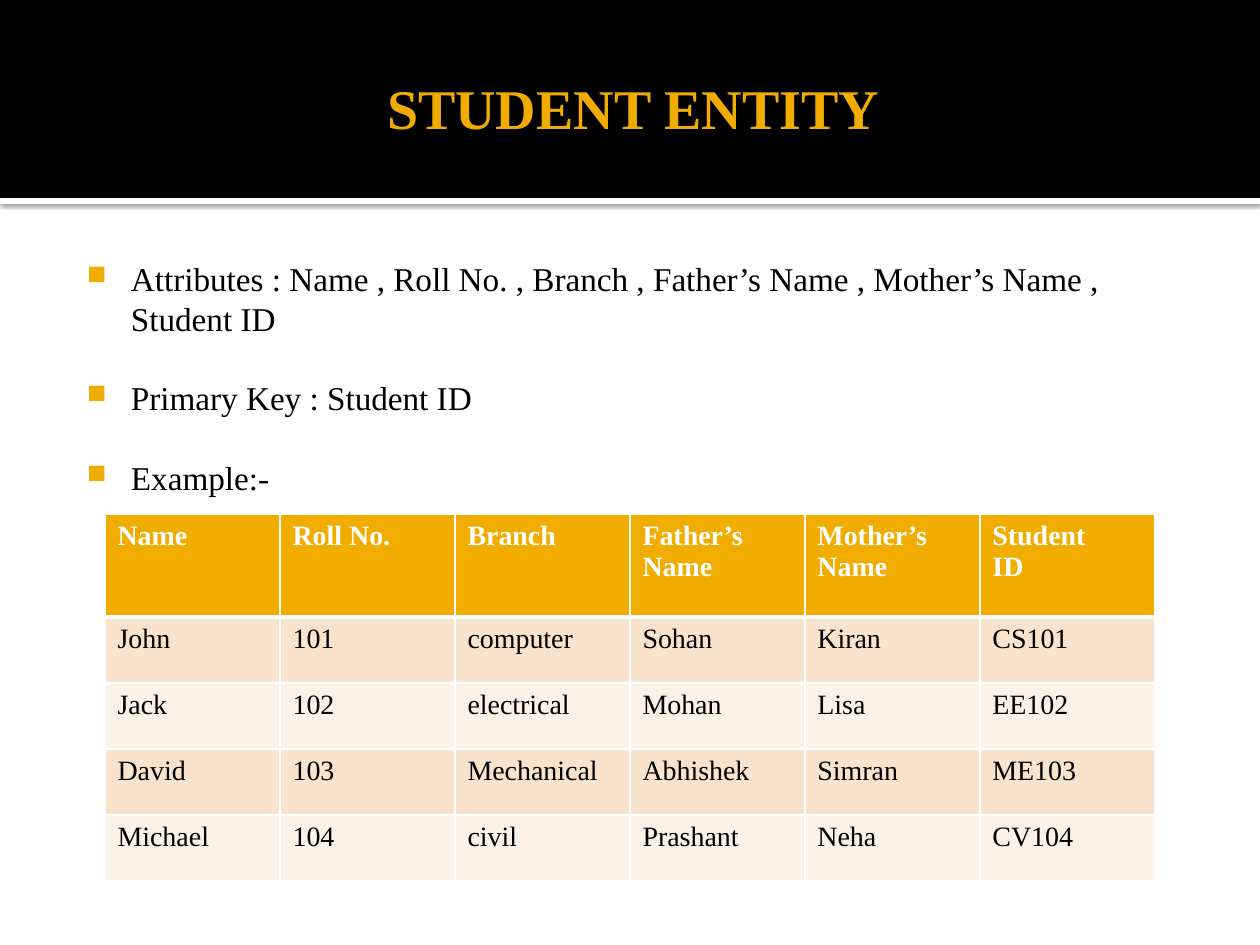
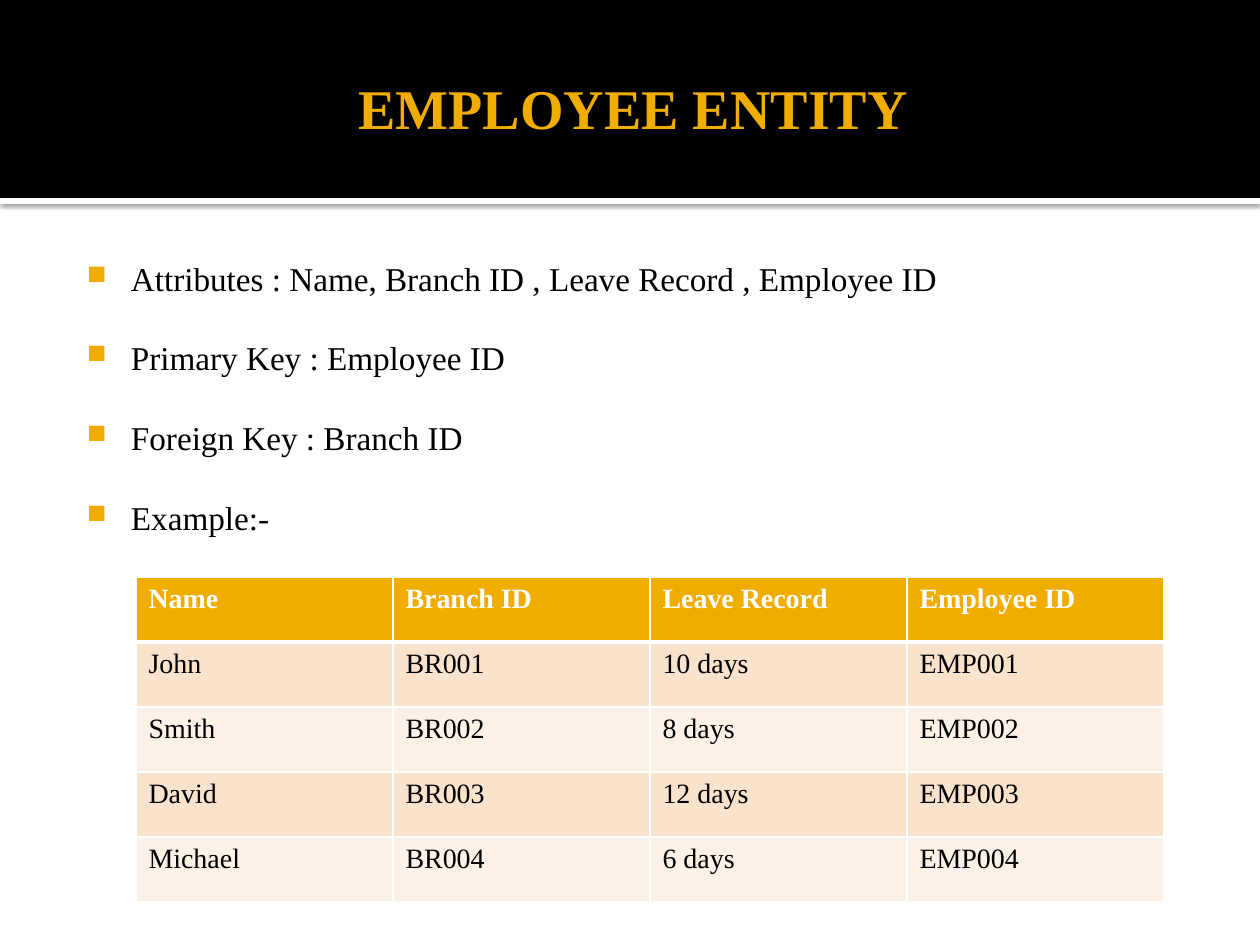
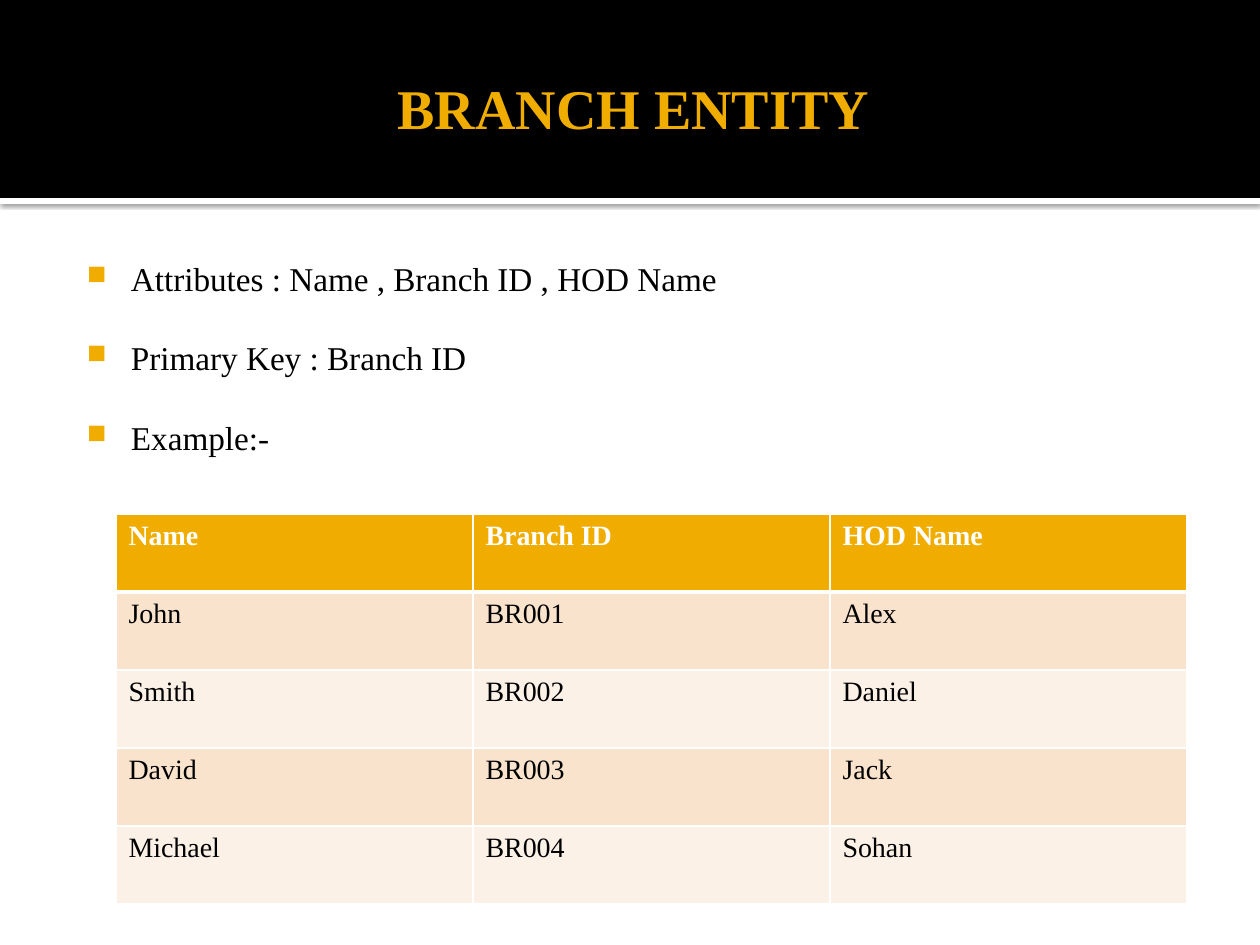
import pptx
import pptx.dml.color
import pptx.enum.shapes
import pptx.enum.text
import pptx.oxml.ns
import pptx.util
from lxml import etree

COLORS = {
    "band": "000000",
    "accent": "F0AD00",
    "text": "000000",
    "white": "FFFFFF",
    "row_dark": "F9E3CC",
    "row_light": "FCF1E7",
}
FONT = "Times New Roman"
EMU_PER_PX = 914400 / 126
SLIDE_W, SLIDE_H = 1260, 945
BODY_LINE = 22.75

SLIDES = [
    {
        "title": "STUDENT ENTITY",
        "bullets": [
            "Attributes : Name , Roll No. , Branch , Father’s Name , Mother’s Name , Student ID",
            "Primary Key : Student ID",
            "Example:-",
        ],
        "origin": (105, 514),
        "col_width": 175,
        "row_heights": [103] + [66] * 4,
        "rows": [
            ["Name", "Roll No.", "Branch", "Father’s Name", "Mother’s Name", "Student\nID"],
            ["John", "101", "computer", "Sohan", "Kiran", "CS101"],
            ["Jack", "102", "electrical", "Mohan", "Lisa", "EE102"],
            ["David", "103", "Mechanical", "Abhishek", "Simran", "ME103"],
            ["Michael", "104", "civil", "Prashant", "Neha", "CV104"],
        ],
    },
    {
        "title": "EMPLOYEE ENTITY",
        "bullets": [
            "Attributes : Name, Branch ID , Leave Record , Employee ID",
            "Primary Key : Employee ID",
            "Foreign Key : Branch ID",
            "Example:-",
        ],
        "origin": (136, 577),
        "col_width": 257,
        "row_heights": [65] * 5,
        "rows": [
            ["Name", "Branch ID", "Leave Record", "Employee ID"],
            ["John", "BR001", "10 days", "EMP001"],
            ["Smith", "BR002", "8 days", "EMP002"],
            ["David", "BR003", "12 days", "EMP003"],
            ["Michael", "BR004", "6 days", "EMP004"],
        ],
    },
    {
        "title": "BRANCH ENTITY",
        "bullets": [
            "Attributes : Name , Branch ID , HOD Name",
            "Primary Key : Branch ID",
            "Example:-",
        ],
        "origin": (116, 514),
        "col_width": 357,
        "row_heights": [78] * 5,
        "rows": [
            ["Name", "Branch ID", "HOD Name"],
            ["John", "BR001", "Alex"],
            ["Smith", "BR002", "Daniel"],
            ["David", "BR003", "Jack"],
            ["Michael", "BR004", "Sohan"],
        ],
    },
]


def px(n):
    return pptx.util.Emu(round(n * EMU_PER_PX))


def rgb(name):
    return pptx.dml.color.RGBColor.from_string(COLORS[name])


def add_xml(parent, tag, **attrs):
    return etree.SubElement(parent, pptx.oxml.ns.qn(tag), attrs)


def set_font(p, size, color, bold=False):
    p.font.name = FONT
    p.font.size = pptx.util.Pt(size)
    p.font.bold = bold
    p.font.color.rgb = rgb(color)


def add_rect(slide, x, y, w, h, color):
    sp = slide.shapes.add_shape(
        pptx.enum.shapes.MSO_SHAPE.RECTANGLE, px(x), px(y), px(w), px(h))
    sp.fill.solid()
    sp.fill.fore_color.rgb = rgb(color)
    sp.line.fill.background()
    sp.shadow.inherit = False
    return sp


def add_band(slide):
    rule = add_rect(slide, 0, 198, SLIDE_W, 6, "white")
    effects = rule._element.spPr.find(pptx.oxml.ns.qn("a:effectLst"))
    shadow = add_xml(effects, "a:outerShdw", blurRad="31750", dist="10160",
                     dir="5400000", algn="tl", rotWithShape="0")
    shade = add_xml(shadow, "a:srgbClr", val=COLORS["band"])
    add_xml(shade, "a:alpha", val="60000")
    add_rect(slide, 0, 0, SLIDE_W, 198, "band")


def add_textbox(slide, x, y, w, h, margins):
    tf = slide.shapes.add_textbox(px(x), px(y), px(w), px(h)).text_frame
    tf.word_wrap = True
    tf.margin_left, tf.margin_top, tf.margin_right, tf.margin_bottom = map(px, margins)
    return tf


def add_title(slide, text):
    tf = add_textbox(slide, 63, 21, 1134, 173, (13, 6, 6, 6))
    tf.vertical_anchor = pptx.enum.text.MSO_ANCHOR.MIDDLE
    p = tf.paragraphs[0]
    p.text = text
    p.alignment = pptx.enum.text.PP_ALIGN.CENTER
    set_font(p, 32, "accent", bold=True)


def add_bullets(slide, items):
    tf = add_textbox(slide, 63, 245, 1134, 637, (8, 13, 13, 6))
    tf.text = "\n".join(items)
    for p in tf.paragraphs:
        set_font(p, 19, "text")
        p.line_spacing = pptx.util.Pt(BODY_LINE)
        p.space_after = pptx.util.Pt(BODY_LINE)
        pPr = p._p.get_or_add_pPr()
        pPr.set("marL", str(px(60)))
        pPr.set("indent", str(px(-44)))
        bullet = [
            etree.Element(pptx.oxml.ns.qn("a:buClr")),
            etree.Element(pptx.oxml.ns.qn("a:buSzPct"), val="80000"),
            etree.Element(pptx.oxml.ns.qn("a:buChar"), char="■"),
        ]
        add_xml(bullet[0], "a:srgbClr", val=COLORS["accent"])
        defaults = pPr.find(pptx.oxml.ns.qn("a:defRPr"))
        for el in bullet:
            defaults.addprevious(el)


def set_borders(cell, top, bottom):
    tcPr = cell._tc.get_or_add_tcPr()
    for side, width in (("L", 1), ("R", 1), ("T", top), ("B", bottom)):
        ln = add_xml(tcPr, f"a:ln{side}", w=str(pptx.util.Pt(width)))
        fill = add_xml(ln, "a:solidFill")
        add_xml(fill, "a:srgbClr", val=COLORS["white"])


def style_cell(cell, row):
    header = row == 0
    set_borders(cell, 3 if row == 1 else 1, 3 if header else 1)
    cell.fill.solid()
    cell.fill.fore_color.rgb = rgb(
        "accent" if header else "row_dark" if row % 2 else "row_light")
    for p in cell.text_frame.paragraphs:
        set_font(p, 16, "white" if header else "text", bold=header)


def add_entity_table(slide, rows, origin, col_width, row_heights):
    cols = len(rows[0])
    table = slide.shapes.add_table(
        len(rows), cols, *map(px, origin),
        px(col_width * cols), px(sum(row_heights))).table
    for column in table.columns:
        column.width = px(col_width)
    for i, (values, height) in enumerate(zip(rows, row_heights)):
        table.rows[i].height = px(height)
        for j, value in enumerate(values):
            cell = table.cell(i, j)
            cell.text = value
            style_cell(cell, i)


def main():
    prs = pptx.Presentation()
    prs.slide_width, prs.slide_height = px(SLIDE_W), px(SLIDE_H)
    for entity in SLIDES:
        slide = prs.slides.add_slide(prs.slide_layouts[6])
        add_band(slide)
        add_title(slide, entity["title"])
        add_bullets(slide, entity["bullets"])
        add_entity_table(slide, entity["rows"], entity["origin"],
                         entity["col_width"], entity["row_heights"])
    prs.save("out.pptx")


if __name__ == "__main__":
    main()
